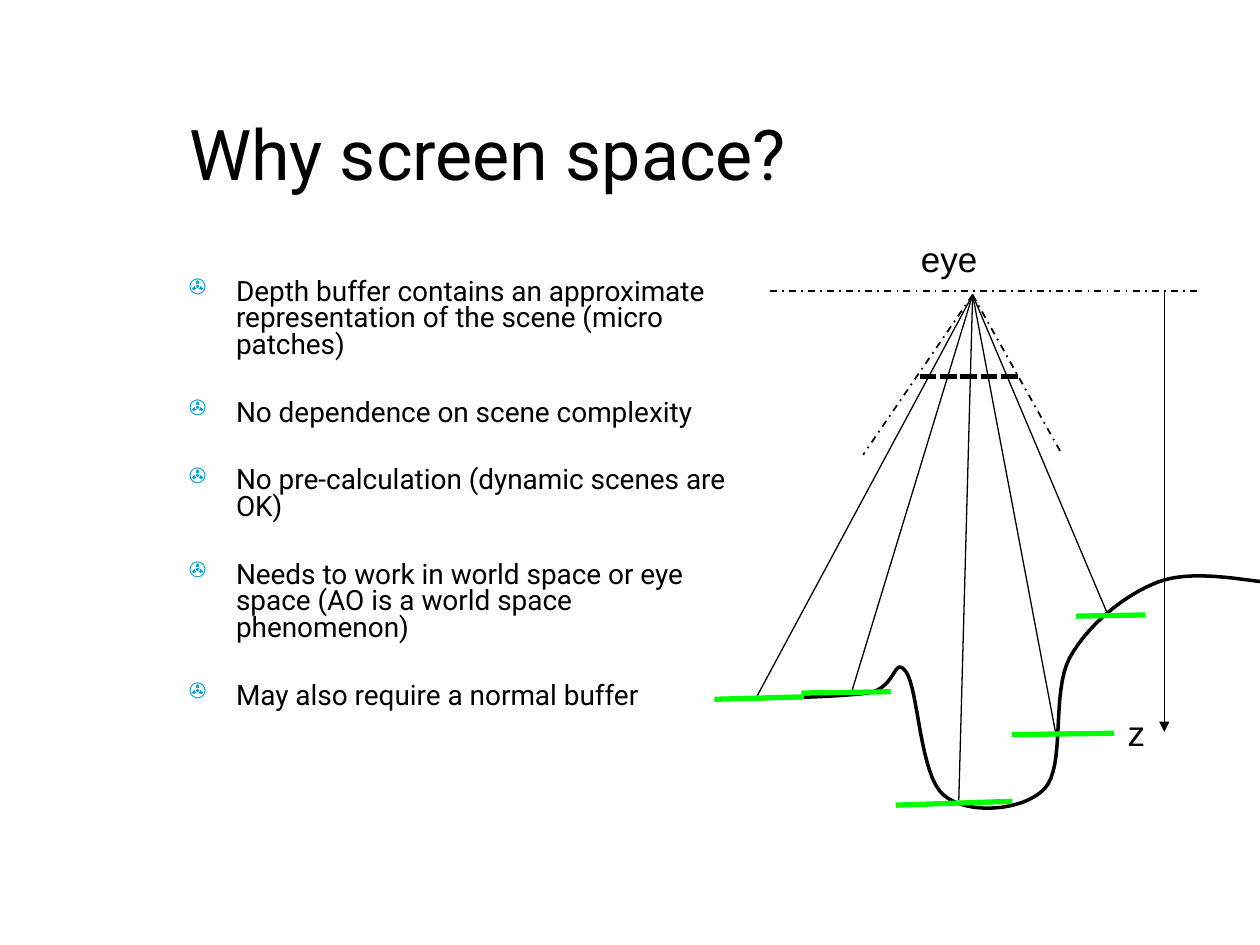
import lxml.etree
import pptx
import pptx.dml.color
import pptx.enum.dml
import pptx.enum.shapes
import pptx.enum.text
import pptx.oxml.ns
import pptx.util

Pt = pptx.util.Pt
BLACK = pptx.dml.color.RGBColor(0, 0, 0)
GREEN = pptx.dml.color.RGBColor(0, 255, 0)
BLUE = pptx.dml.color.RGBColor(0, 0x99, 0xCC)
DASH = pptx.enum.dml.MSO_LINE.DASH_DOT

POINTS = [
    "Depth buffer contains an approximate representation of the scene (micro patches)",
    "No dependence on scene complexity",
    "No pre-calculation (dynamic scenes are OK)",
    "Needs to work in world space or eye space (AO is a world space phenomenon)",
    "May also require a normal buffer",
]
EYE = (147.8, 36.5)
RAYS = [(24, 266.9), (78.7, 263.3), (139.9, 325.2), (196.1, 291.4), (224.2, 217.2)]
EDGES = [(85.2, 127.9), (199, 127.9)]
PATCHES = [
    ((0.2, 267.6), (51.4, 266.2)),
    ((49.9, 264), (101, 263.3)),
    ((103.9, 328.1), (170.2, 325.9)),
    ((170.2, 287.8), (228.5, 287)),
    ((206.9, 220.1), (246.5, 219.4)),
]
GROUND = [
    (8.2, 267.6), (39.8, 266.9), (70.8, 266.2), (88.1, 264),
    (104.6, 261.1), (102.5, 242.4), (109.7, 251.8),
    (116.9, 261.8), (117.6, 311.5), (131.3, 322.3),
    (144.2, 333.8), (176.6, 331.7), (188.9, 318.7),
    (201.1, 305.8), (192.5, 264), (203.3, 243.8),
    (214.1, 224.4), (235, 207.8), (253.7, 200.6),
    (272.4, 193.4), (300.5, 199.2), (314.9, 200.6),
]


def add_tag(parent, tag, **attrs):
    """Append a drawing element to the parent and return it."""
    return lxml.etree.SubElement(parent, pptx.oxml.ns.qn(tag), attrs)


def set_font(para, name, size):
    """Set the font of a whole paragraph."""
    para.font.name = name
    para.font.size = Pt(size)
    para.font.color.rgb = BLACK


def add_title(slide, left, top, width, height):
    """Place and format the title placeholder."""
    title = slide.shapes.title
    title.left, title.top = Pt(left), Pt(top)
    title.width, title.height = Pt(width), Pt(height)
    frame = title.text_frame
    frame.text = "Why screen space?"
    frame.vertical_anchor = pptx.enum.text.MSO_ANCHOR.MIDDLE
    para = frame.paragraphs[0]
    para.alignment = pptx.enum.text.PP_ALIGN.LEFT
    set_font(para, "Roboto", 40)


def add_box(slide, left, top, width, height):
    """Add a wrapping text box and return its frame."""
    box = slide.shapes.add_textbox(Pt(left), Pt(top), Pt(width), Pt(height))
    box.text_frame.word_wrap = True
    return box.text_frame


def add_list(slide, left, top, width, height):
    """Fill a box with the bulleted points."""
    frame = add_box(slide, left, top, width, height)
    for index, text in enumerate(POINTS):
        para = frame.add_paragraph() if index else frame.paragraphs[0]
        para.text = text
        para.line_spacing = 0.8
        para.space_before = Pt(23.2 if index else 0)
        props = para._p.get_or_add_pPr()
        props.set("marL", str(Pt(27)))
        props.set("indent", str(Pt(-27)))
        add_tag(add_tag(props, "a:buClr"), "a:srgbClr", val=str(BLUE))
        add_tag(props, "a:buSzPct", val="75000")
        add_tag(props, "a:buChar", char="✇")
        set_font(para, "Roboto", 16)


def add_line(slide, box, start, end, width, color=BLACK, dash=None):
    """Draw a straight line between two points of the box."""
    ends = [Pt(base + value) for spot in (start, end) for base, value in zip(box, spot)]
    line = slide.shapes.add_connector(pptx.enum.shapes.MSO_CONNECTOR.STRAIGHT, *ends)
    line.line.color.rgb = color
    line.line.width = Pt(width)
    if dash:
        line.line.dash_style = dash
    add_tag(line._element.spPr, "a:effectLst")
    return line


def trace(knots, steps=16):
    """Return points along a chain of cubic curves."""
    spots = [knots[0]]
    for first in range(0, len(knots) - 1, 3):
        for step in range(1, steps + 1):
            t = step / steps
            parts = ((1 - t) ** 3, 3 * t * (1 - t) ** 2, 3 * t * t * (1 - t), t ** 3)
            group = knots[first:first + 4]
            spots.append(tuple(
                sum(part * knot[axis] for part, knot in zip(parts, group))
                for axis in (0, 1)
            ))
    return spots


def add_ground(slide, box):
    """Draw the curved surface of the scene."""
    spots = [(Pt(box[0] + x), Pt(box[1] + y)) for x, y in trace(GROUND)]
    pen = slide.shapes.build_freeform(*spots[0])
    pen.add_line_segments(spots[1:], close=False)
    shape = pen.convert_to_shape()
    shape.shadow.inherit = False
    shape.fill.background()
    shape.line.color.rgb = BLACK
    shape.line.width = Pt(2)


def add_label(slide, box, text, left, top, width):
    """Add a short label at an offset within the box."""
    frame = add_box(slide, box[0] + left, box[1] + top, width, 31.7)
    frame.text = text
    set_font(frame.paragraphs[0], "Arial", 20)


def add_view(slide, left, top):
    """Draw the eye, its rays, the screen and the scene."""
    box = (left, top)
    add_ground(slide, box)
    for edge in EDGES:
        add_line(slide, box, EYE, edge, 1, dash=DASH)
    for ray in RAYS:
        add_line(slide, box, EYE, ray, 0.75)
    for index in range(5):
        x = 117.6 + 11.6 * index
        add_line(slide, box, (x, 83.3), (x + 9.5, 83.3), 3)
    for start, end in PATCHES:
        add_line(slide, box, start, end, 3, GREEN)
    add_line(slide, box, (31.9, 34.3), (277.4, 34.3), 1, dash=DASH)
    axis = add_line(slide, box, (257.3, 34.3), (257.3, 286.3), 0.75)
    add_tag(axis.line._get_or_add_ln(), "a:tailEnd", type="triangle")
    add_label(slide, box, "z", 229.2, 271.2, 78.5)
    add_label(slide, box, "eye", 111.1, 0, 100.8)


def main():
    """Build and save the slide."""
    deck = pptx.Presentation()
    deck.slide_width, deck.slide_height = Pt(720), Pt(540)
    slide = deck.slides.add_slide(deck.slide_layouts[5])
    add_title(slide, 100.8, 30.2, 558, 113.8)
    add_list(slide, 100.8, 156.2, 331.2, 329.8)
    add_view(slide, 408, 132)
    deck.save("out.pptx")


if __name__ == "__main__":
    main()
